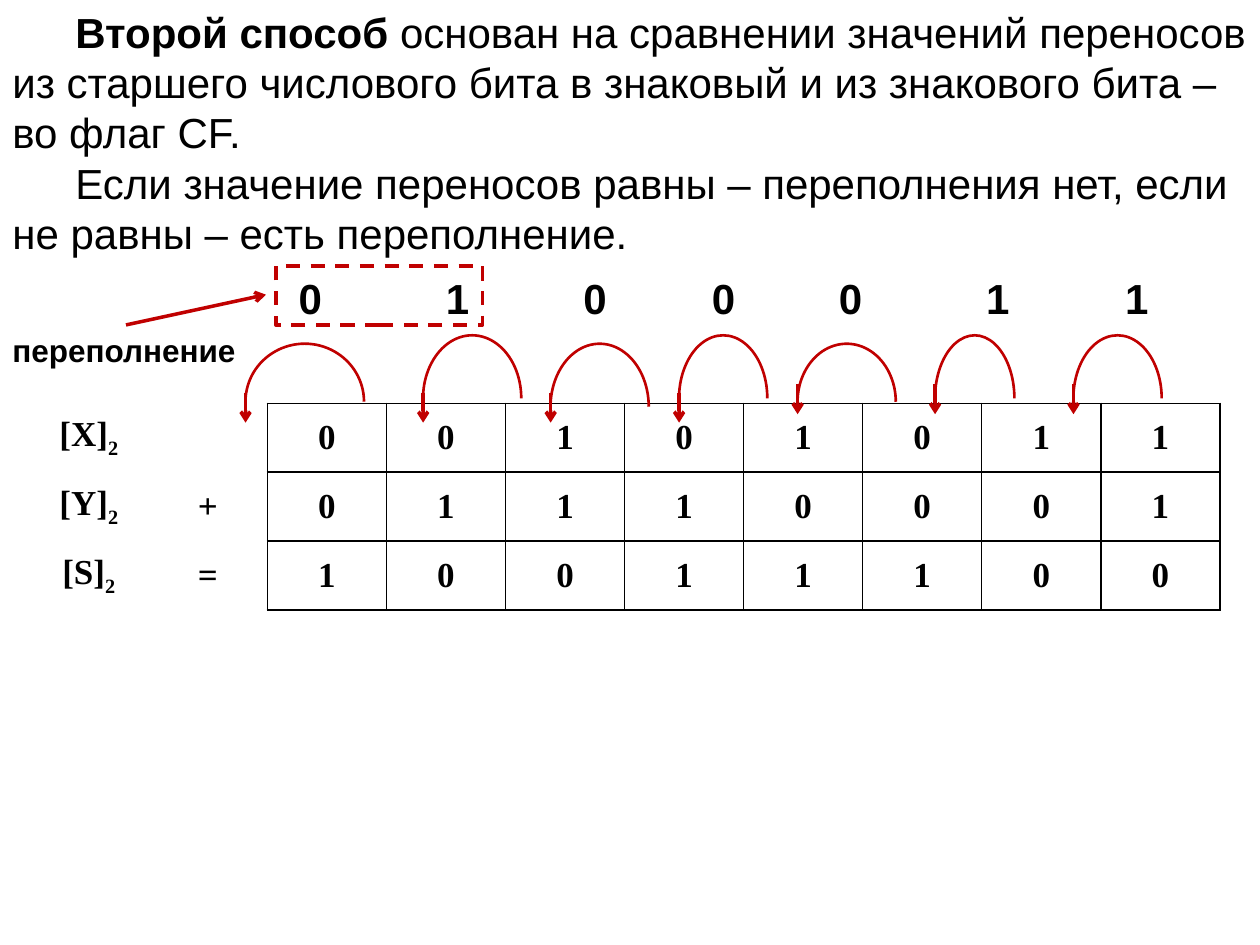
from lxml import etree
from pptx import Presentation
from pptx.dml.color import RGBColor
from pptx.enum import dml, shapes, text
from pptx.oxml import parse_xml
from pptx.oxml.ns import nsdecls, qn
from pptx.util import Cm, Pt

BLACK, RED = "000000", "C00000"

RULE = [
    [("Второй способ", True),
     (" основан на сравнении значений переносов из старшего числового бита "
      "в знаковый и из знакового бита – во флаг CF.", False)],
    [("Если значение переносов равны – переполнения нет, "
      "если не равны – есть переполнение.", False)],
]

# name, sign, bits
ADDITION = [("X", "", "00101011"), ("Y", "+", "01110001"), ("S", "=", "10011100")]

# carry, carry left, arc left, arc top, arc width, arc height, arrow top (cm)
CARRIES = [
    ("0", 5.77, 4.95, 6.93, 2.39, 2.34, 7.92),
    ("1", 8.74, 8.53, 6.76, 1.98, 2.54, 7.92),
    ("0", 11.51, 11.1, 6.93, 1.98, 2.54, 7.92),
    ("0", 14.1, 13.69, 6.76, 1.78, 2.54, 7.92),
    ("0", 16.66, 16.08, 6.93, 1.98, 2.34, 7.75),
    ("1", 19.63, 18.85, 6.76, 1.6, 2.54, 7.75),
    ("1", 22.43, 21.64, 6.76, 1.78, 2.54, 7.75),
]
ARROW_LENGTH = 0.6


def color(value):
    return RGBColor.from_string(value)


def style_font(font, size, name="Arial", bold=None):
    font.size, font.name, font.bold = Pt(size), name, bold
    font.color.rgb = color(BLACK)


def style_line(line, width, dash=None):
    line.color.rgb = color(RED)
    line.width = Pt(width)
    if dash:
        line.dash_style = dash


def add_text_frame(slide, left, top, width, height, wrap=True):
    box = slide.shapes.add_textbox(Cm(left), Cm(top), Cm(width), Cm(height))
    frame = box.text_frame
    frame.word_wrap = wrap
    frame.auto_size = text.MSO_AUTO_SIZE.SHAPE_TO_FIT_TEXT
    return frame


def add_rule(slide):
    frame = add_text_frame(slide, 0, 0, 25.4, 5.38)
    for index, parts in enumerate(RULE):
        paragraph = frame.add_paragraph() if index else frame.paragraphs[0]
        style_font(paragraph.font, 24)
        properties = paragraph._p.get_or_add_pPr()
        properties.set("marL", "0")
        properties.set("indent", str(Cm(1.27)))
        for words, bold in parts:
            run = paragraph.add_run()
            run.text = words
            run.font.bold = bold


def add_label(slide, words, left, top, width, height, size, wrap=True):
    paragraph = add_text_frame(slide, left, top, width, height, wrap).paragraphs[0]
    paragraph.text = words
    style_font(paragraph.font, size, bold=True)


def add_outline(slide, kind, left, top, width, height, line_width, dash=None):
    shape = slide.shapes.add_shape(kind, Cm(left), Cm(top), Cm(width), Cm(height))
    shape.shadow.inherit = False
    shape.fill.background()
    style_line(shape.line, line_width, dash)
    return shape


def add_arrow(slide, x1, y1, x2, y2):
    arrow = slide.shapes.add_connector(
        shapes.MSO_CONNECTOR.STRAIGHT, Cm(x1), Cm(y1), Cm(x2), Cm(y2))
    style_line(arrow.line, 2)
    etree.SubElement(arrow.line._get_or_add_ln(), qn("a:tailEnd"), type="arrow")
    etree.SubElement(arrow._element.spPr, qn("a:effectLst"))


def set_borders(cell, drawn):
    properties = cell._tc.get_or_add_tcPr()
    for index, side in enumerate("LRTB"):
        paint = (f'<a:solidFill><a:srgbClr val="{BLACK}"/></a:solidFill>'
                 if side in drawn else "<a:noFill/>")
        properties.insert(index, parse_xml(
            f'<a:ln{side} {nsdecls("a")} w="{Pt(1)}">{paint}</a:ln{side}>'))


def fill_cell(cell, words, subscript="", borders="LRTB"):
    cell.fill.background()
    cell.vertical_anchor = text.MSO_ANCHOR.MIDDLE
    cell.margin_left = cell.margin_right = Cm(0.19)
    cell.margin_top = cell.margin_bottom = 0
    paragraph = cell.text_frame.paragraphs[0]
    paragraph.alignment = text.PP_ALIGN.CENTER
    paragraph.space_after = Pt(3)
    style_font(paragraph.font, 20, "Times New Roman", True)
    if words:
        paragraph.add_run().text = words
    if subscript:
        run = paragraph.add_run()
        run.text = subscript
        run.font._element.set("baseline", "-25000")
    set_borders(cell, borders)


def add_addition_table(slide):
    table = slide.shapes.add_table(
        3, 10, Cm(0.59), Cm(8.13), Cm(24), Cm(4.17)).table
    table.first_row = table.horz_banding = False
    for column in table.columns:
        column.width = Cm(2.4)
    for index, (name, sign, bits) in enumerate(ADDITION):
        table.rows[index].height = Cm(1.39)
        fill_cell(table.cell(index, 0), f"[{name}]", "2", borders="")
        fill_cell(table.cell(index, 1), sign, borders="R")
        for column, bit in enumerate(bits, start=2):
            fill_cell(table.cell(index, column), bit)


def main():
    deck = Presentation()
    deck.slide_width, deck.slide_height = Cm(25.4), Cm(19.05)
    slide = deck.slides.add_slide(deck.slide_layouts[6])

    # Rule and binary addition
    add_rule(slide)
    add_addition_table(slide)

    # Carries between the bits
    for carry, carry_left, left, top, width, height, arrow_top in CARRIES:
        arc = add_outline(slide, shapes.MSO_SHAPE.ARC, left, top, width, height, 1.5)
        arc.adjustments[0], arc.adjustments[1] = 109.76, 0
        add_label(slide, carry, carry_left, 5.36, 0.79, 1.27, 24)
        add_arrow(slide, left, arrow_top, left, arrow_top + ARROW_LENGTH)

    # Overflow mark
    add_outline(slide, shapes.MSO_SHAPE.RECTANGLE, 5.56, 5.36, 4.17, 1.19, 2,
                dml.MSO_LINE.DASH)
    add_label(slide, "переполнение", 0, 6.55, 5.05, 1.02, 18, wrap=False)
    add_arrow(slide, 2.54, 6.55, 5.36, 5.94)

    deck.save("out.pptx")


if __name__ == "__main__":
    main()
